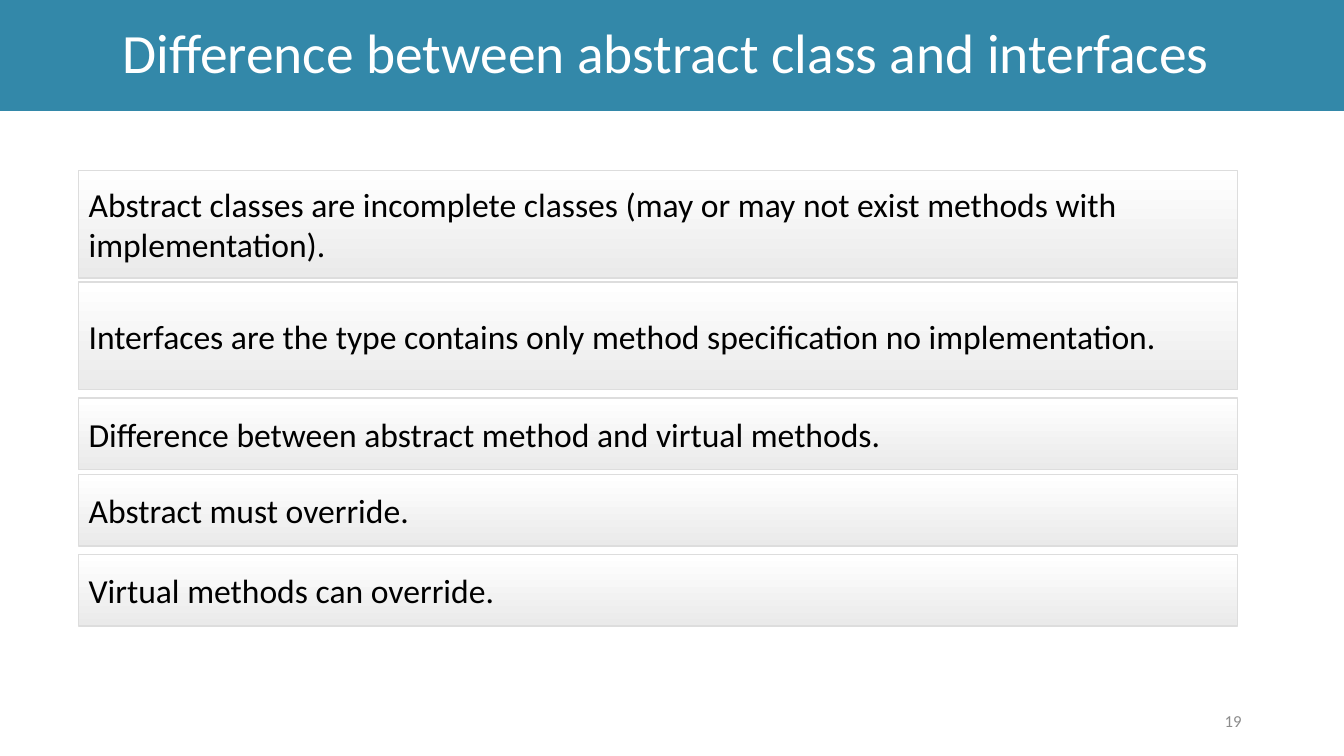
from dataclasses import dataclass

from pptx import Presentation
from pptx.dml.color import RGBColor
from pptx.enum.shapes import MSO_SHAPE
from pptx.enum.text import MSO_ANCHOR, MSO_AUTO_SIZE, PP_ALIGN
from pptx.slide import Slide
from pptx.text.text import TextFrame
from pptx.util import Pt

FONT = "Calibri"
PANEL_LEFT, PANEL_WIDTH = 56.2, 828
TALL, SHORT = 77, 51.1


@dataclass
class Panel:
    top: float
    height: float
    text: str


PANELS = [
    Panel(121.7, TALL, "Abstract classes are incomplete classes (may or may not "
                       "exist methods with implementation)."),
    Panel(201.4, TALL, "Interfaces are the type contains only method "
                       "specification no implementation."),
    Panel(284.4, SHORT, "Difference between abstract method and virtual methods."),
    Panel(339, SHORT, "Abstract must override."),
    Panel(396, SHORT, "Virtual methods can override."),
]


def color(value: str) -> RGBColor:
    return RGBColor.from_string(value)


def write(frame: TextFrame, text: str, size: float, ink: str, align: PP_ALIGN) -> None:
    frame.word_wrap = True
    frame.auto_size = MSO_AUTO_SIZE.NONE
    frame.vertical_anchor = MSO_ANCHOR.MIDDLE
    paragraph = frame.paragraphs[0]
    paragraph.alignment = align
    run = paragraph.add_run()
    run.text = text
    run.font.name = FONT
    run.font.size = Pt(size)
    run.font.color.rgb = color(ink)


def add_title(slide: Slide, text: str) -> None:
    title = slide.shapes.title
    title.left, title.top, title.width, title.height = Pt(0), Pt(0), Pt(960), Pt(79.2)
    title.fill.solid()
    title.fill.fore_color.rgb = color("3388A9")
    write(title.text_frame, text, 39.6, "FFFFFF", PP_ALIGN.CENTER)
    title.text_frame.margin_right = Pt(16)
    title.text_frame.paragraphs[0].line_spacing = 0.9


def add_panel(slide: Slide, panel: Panel) -> None:
    box = slide.shapes.add_shape(MSO_SHAPE.RECTANGLE, Pt(PANEL_LEFT), Pt(panel.top),
                                 Pt(PANEL_WIDTH), Pt(panel.height))
    box.shadow.inherit = False
    box.fill.gradient()
    box.fill.gradient_angle = 270
    for stop, position, shade in zip(box.fill.gradient_stops, (0, 1), ("FFFFFF", "EAEAEA")):
        stop.position = position
        stop.color.rgb = color(shade)
    box.line.color.rgb = color("DDDDDD")
    box.line.width = Pt(1)
    write(box.text_frame, panel.text, 24, "000000", PP_ALIGN.LEFT)


def add_slide_number(slide: Slide, number: str) -> None:
    box = slide.shapes.add_textbox(Pt(678), Pt(500.5), Pt(216), Pt(28.8))
    write(box.text_frame, number, 12, "8C8C8C", PP_ALIGN.RIGHT)


prs = Presentation()
prs.slide_width, prs.slide_height = Pt(960), Pt(540)
slide = prs.slides.add_slide(prs.slide_layouts.get_by_name("Title Only"))
add_title(slide, "Difference between abstract class and interfaces")
add_slide_number(slide, "19")
for panel in PANELS:
    add_panel(slide, panel)
prs.save("out.pptx")
